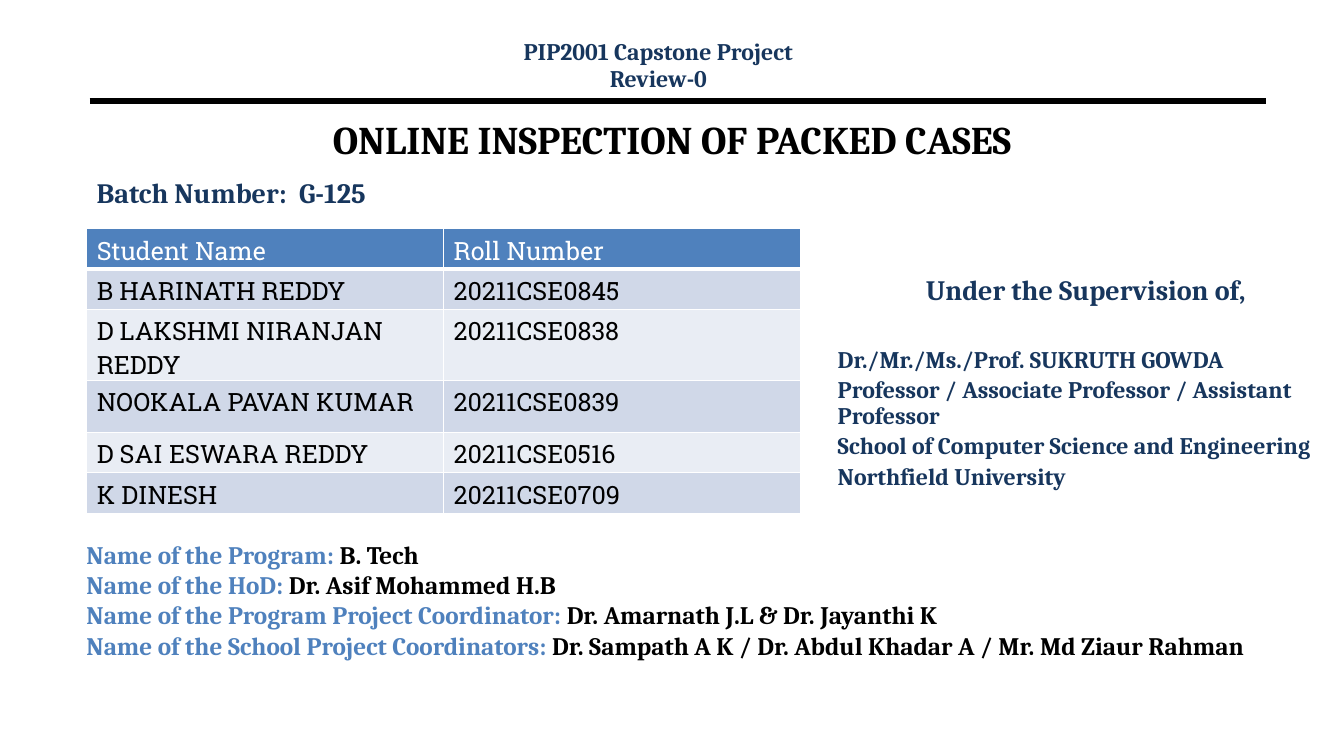
"""Builds the capstone project review title slide."""
import pptx
import pptx.dml.color
import pptx.enum.shapes
import pptx.enum.text
import pptx.oxml
import pptx.oxml.ns
import pptx.util

Inches, Pt = pptx.util.Inches, pptx.util.Pt
ALIGN = pptx.enum.text.PP_ALIGN
ANCHOR = pptx.enum.text.MSO_ANCHOR

SERIF, SLAB = "Cambria", "Roboto Slab"
NAVY, BLUE, BLACK, WHITE = "17365D", "4F81BD", "000000", "FFFFFF"
BANDS = ["D0D8E8", "E9EDF4"]

COURSE = ["PIP2001 Capstone Project", "Review-0"]
TITLE = "ONLINE INSPECTION OF PACKED CASES"
BATCH = "Batch Number:  G-125"
SUPERVISION = "Under the Supervision of,"
SUPERVISOR = [
    "Dr./Mr./Ms./Prof. SUKRUTH GOWDA",
    "Professor / Associate Professor / Assistant Professor",
    "School of Computer Science and Engineering",
    "Northfield University",
]
STUDENTS = [
    ("Student Name", "Roll Number"),
    ("B HARINATH REDDY", "20211CSE0845"),
    ("D LAKSHMI NIRANJAN REDDY", "20211CSE0838"),
    ("NOOKALA PAVAN KUMAR", "20211CSE0839"),
    ("D SAI ESWARA REDDY", "20211CSE0516"),
    ("K DINESH", "20211CSE0709"),
]
ROW_HEIGHTS = [0.35, 0.35, 0.62, 0.52, 0.35, 0.35]
COLUMN_WIDTH = 3.54
STAFF = [
    ("Name of the Program: ", "B. Tech"),
    ("Name of the HoD: ", "Dr. Asif Mohammed H.B"),
    ("Name of the Program Project Coordinator: ",
     "Dr. Amarnath J.L & Dr. Jayanthi K"),
    ("Name of the School Project Coordinators: ",
     "Dr. Sampath A K / Dr. Abdul Khadar A / Mr. Md Ziaur Rahman"),
]


def color(value):
    return pptx.dml.color.RGBColor.from_string(value)


def add_run(paragraph, text, size, shade, font=SERIF, bold=True):
    run = paragraph.add_run()
    run.text = text
    run.font.size = Pt(size)
    run.font.name = font
    run.font.bold = bold
    run.font.color.rgb = color(shade)


def add_text(slide, place, lines, align=ALIGN.LEFT, anchor=ANCHOR.TOP):
    """Each line holds its runs, and may hold alignment, spacing and space before."""
    frame = slide.shapes.add_textbox(*map(Inches, place)).text_frame
    frame.word_wrap = True
    frame.vertical_anchor = anchor
    for index, line in enumerate(lines):
        paragraph = frame.paragraphs[0] if index == 0 else frame.add_paragraph()
        paragraph.alignment = line.get("align", align)
        paragraph.line_spacing = line.get("spacing", 1.0)
        paragraph.space_before = Pt(line.get("before", 0))
        for run in line["runs"]:
            add_run(paragraph, *run)


def set_borders(cell, bottom):
    properties = cell._tc.get_or_add_tcPr()
    widths = {"lnL": 1, "lnR": 1, "lnT": 1, "lnB": bottom}
    for index, (side, width) in enumerate(widths.items()):
        properties.insert(index, pptx.oxml.parse_xml(
            f'<a:{side} {pptx.oxml.ns.nsdecls("a")} w="{Pt(width)}"><a:solidFill>'
            f'<a:srgbClr val="{WHITE}"/></a:solidFill></a:{side}>'))


def add_students(slide):
    table = slide.shapes.add_table(
        len(STUDENTS), 2, Inches(0.86), Inches(2.27),
        Inches(2 * COLUMN_WIDTH), Inches(sum(ROW_HEIGHTS))).table
    for column in table.columns:
        column.width = Inches(COLUMN_WIDTH)
    for r, student in enumerate(STUDENTS):
        table.rows[r].height = Inches(ROW_HEIGHTS[r])
        heading = r == 0
        for c, text in enumerate(student):
            cell = table.cell(r, c)
            cell.fill.solid()
            cell.fill.fore_color.rgb = color(BLUE if heading else BANDS[(r - 1) % 2])
            set_borders(cell, 3 if heading else 1)
            add_run(cell.text_frame.paragraphs[0], text, 18,
                    WHITE if heading else BLACK, SLAB, False)


def add_rule(slide):
    rule = slide.shapes.add_connector(
        pptx.enum.shapes.MSO_CONNECTOR.STRAIGHT,
        Inches(0.89), Inches(1), Inches(12.56), Inches(1))
    rule.line.color.rgb = color(BLACK)
    rule.line.width = Pt(4.5)
    rule._element.spPr.append(pptx.oxml.parse_xml(
        f'<a:effectLst {pptx.oxml.ns.nsdecls("a")}/>'))


def main():
    deck = pptx.Presentation()
    deck.slide_width, deck.slide_height = Inches(13.33), Inches(7.5)
    slide = deck.slides.add_slide(deck.slide_layouts[6])

    add_rule(slide)
    add_text(slide, (1, 0.85, 11.33, 1.05),
             [{"runs": [(TITLE, 28, BLACK)]}], ALIGN.CENTER, ANCHOR.MIDDLE)
    add_text(slide, (0.86, 1.69, 4.34, 0.6), [{"runs": [(BATCH, 20, NAVY)]}])
    add_text(slide, (4.36, 0.37, 4.34, 0.6),
             [{"runs": [(text, 17, NAVY)], "spacing": 0.8, "before": 3.1 * i}
              for i, text in enumerate(COURSE)], ALIGN.CENTER)
    supervision = {"runs": [(SUPERVISION, 20, NAVY)], "spacing": 0.9,
                   "align": ALIGN.CENTER}
    supervisor = [{"runs": [(text, 17, NAVY)], "spacing": 0.9,
                   "before": 3.4 if i else 29.4}
                  for i, text in enumerate(SUPERVISOR)]
    add_text(slide, (8.21, 2.69, 5.12, 2.35), [supervision] + supervisor)
    add_students(slide)
    add_text(slide, (0.76, 5.3, 12.76, 1.32),
             [{"runs": [(role, 18, BLUE), (name, 18, BLACK)]} for role, name in STAFF])
    deck.save("out.pptx")


if __name__ == "__main__":
    main()
